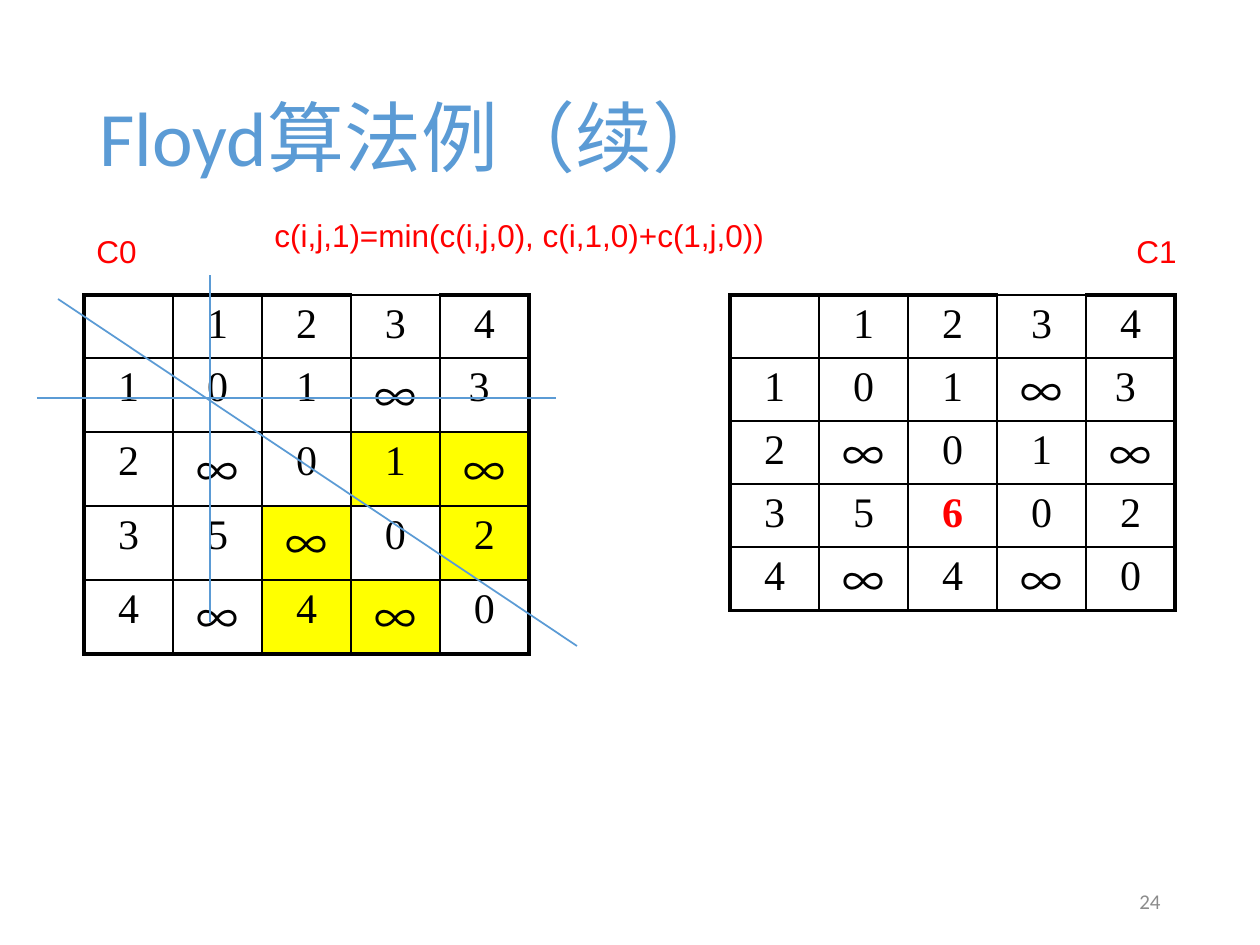
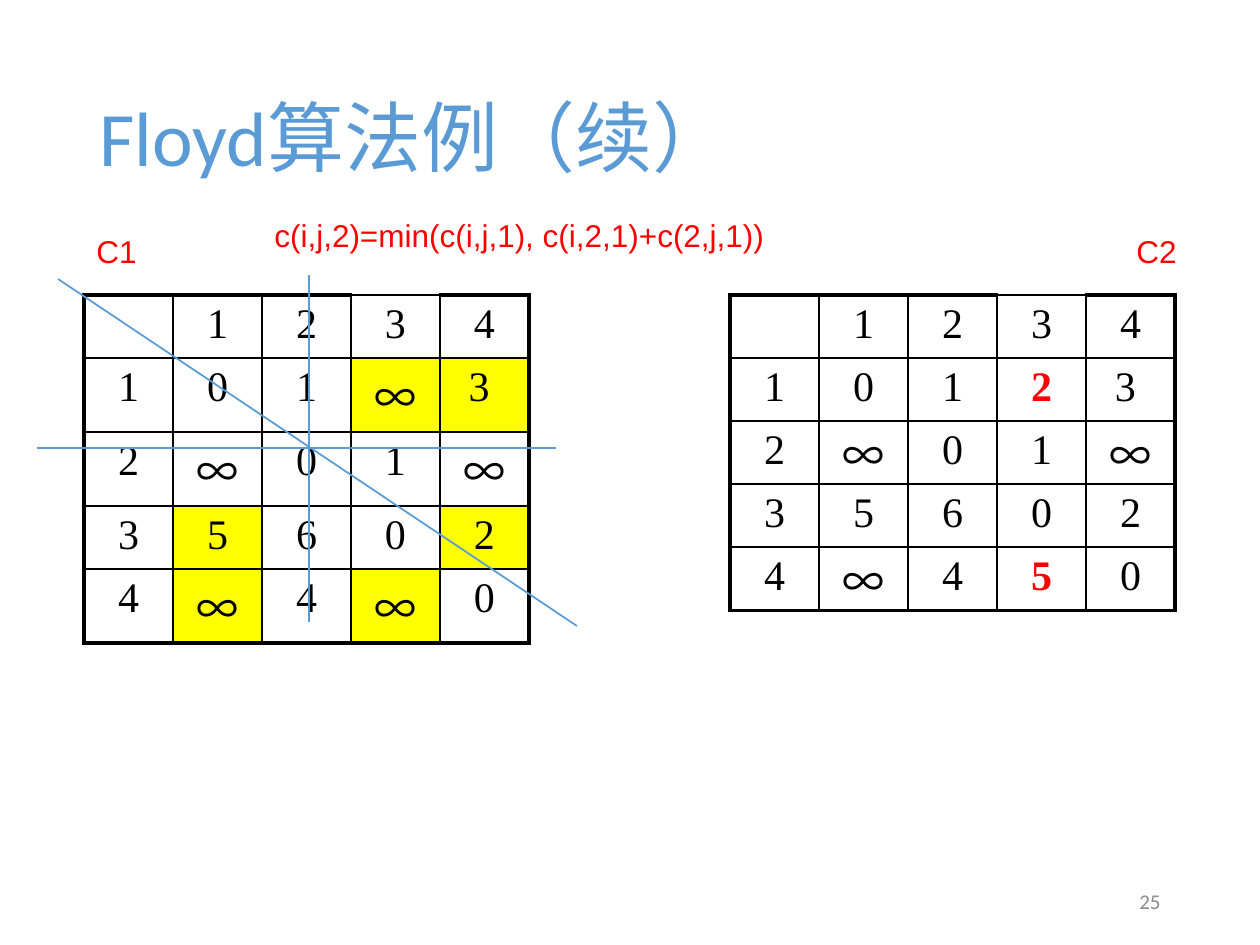
from lxml import etree
from pptx import Presentation
from pptx import util as u
from pptx.dml.color import RGBColor
from pptx.enum import shapes, text
from pptx.oxml import ns

PX = 914400 / 126
COLORS = {"accent": "5B9BD5", "red": "FF0000", "black": "000000",
          "gray": "8C8C8C", "yellow": "FFFF00"}
CJK_FONT = "Noto Sans CJK SC"
INFINITY = "∞"
COLUMN_WIDTH = 89
THIN, THICK = 1, 2.25

# Distances between vertices 1 to 4 after each step
C0 = (("0", "1", "∞", "3 "),
      ("∞", "0", "1", "∞"),
      ("5", "∞", "0", "2"),
      ("∞", "4", "∞", "0"))
C1 = (*C0[:2], ("5", "6", "0", "2"), C0[3])
C2 = (("0", "1", "2", "3 "), *C1[1:3], ("∞", "4", "5", "0"))


def px(length):
    return u.Emu(round(length * PX))


def rgb(color):
    return RGBColor.from_string(COLORS[color])


def format_run(run, size, font, color, bold=False, east_asian=CJK_FONT):
    run.font.size = u.Pt(size)
    run.font.name = font
    run.font.bold = bold
    run.font.color.rgb = rgb(color)
    latin = run.font._element.find(ns.qn("a:latin"))
    ea = etree.Element(ns.qn("a:ea"), typeface=east_asian)
    latin.addnext(ea)


def add_label(slide, box, words, size, font, color, anchor="TOP", align="LEFT"):
    label = slide.shapes.add_textbox(*map(px, box))
    frame = label.text_frame
    frame.word_wrap = True
    frame.vertical_anchor = getattr(text.MSO_ANCHOR, anchor)
    frame.text = words
    paragraph = frame.paragraphs[0]
    paragraph.alignment = getattr(text.PP_ALIGN, align)
    format_run(paragraph.runs[0], size, font, color)
    return paragraph


def add_line(slide, start, end):
    line = slide.shapes.add_connector(shapes.MSO_CONNECTOR.STRAIGHT,
                                      *map(px, (*start, *end)))
    line.line.color.rgb = rgb("accent")
    line.line.width = u.Pt(1)
    etree.SubElement(line._element.spPr, ns.qn("a:effectLst"))


def set_borders(cell, widths):
    """Draw the left, right, top and bottom borders, widths in points."""
    properties = cell._tc.get_or_add_tcPr()
    for side, width in zip("LRTB", widths):
        border = etree.SubElement(properties, ns.qn(f"a:ln{side}"),
                                  w=str(u.Pt(width)))
        fill = etree.SubElement(border, ns.qn("a:solidFill"))
        etree.SubElement(fill, ns.qn("a:srgbClr"), val=COLORS["black"])


def write_cell(cell, value, changed, compact):
    cell.text = value
    paragraph = cell.text_frame.paragraphs[0]
    paragraph.alignment = text.PP_ALIGN.CENTER
    if not value:
        return
    font = CJK_FONT if value == INFINITY else "Times New Roman"
    format_run(paragraph.runs[0], 24, font,
               "red" if changed else "black", bold=changed)
    if compact and value == INFINITY:
        paragraph.line_spacing = u.Pt(32)
        cell.margin_bottom = 0


def add_matrix(slide, left, top, matrix, row_height=None, highlights=(), changes=()):
    """Draw a matrix with vertex headings; rows fit their text unless row_height is set."""
    vertices = range(1, len(matrix) + 1)
    grid = [["", *map(str, vertices)]]
    grid += [[str(vertex), *row] for vertex, row in zip(vertices, matrix)]
    last = len(grid) - 1
    heights = [row_height or (74 if INFINITY in row else 59) for row in grid]
    table = slide.shapes.add_table(
        len(grid), len(grid), px(left), px(top),
        px(COLUMN_WIDTH * len(grid)), px(sum(heights))).table
    table.first_row = table.horz_banding = False
    for column in table.columns:
        column.width = px(COLUMN_WIDTH)
    for r, values in enumerate(grid):
        table.rows[r].height = px(heights[r])
        for c, value in enumerate(values):
            cell = table.cell(r, c)
            write_cell(cell, value, (r, c) in changes, bool(row_height))
            # The heading of vertex 3 keeps a thin top edge
            outer = (c == 0, c == last, r == 0 and c != 3, r == last)
            set_borders(cell, [THICK if edge else THIN for edge in outer])
            if (r, c) in highlights:
                cell.fill.solid()
                cell.fill.fore_color.rgb = rgb("yellow")
            else:
                cell.fill.background()


def add_pivot_lines(slide, left, top, row_y, column_x, diagonal_y):
    """Strike out the pivot row, the pivot column and the diagonal."""
    add_line(slide, (left - 47, top + row_y), (left + 472, top + row_y))
    add_line(slide, (left + column_x, top + 327), (left + column_x, top - 20))
    add_line(slide, (left - 26, top + diagonal_y),
             (left + 493, top + diagonal_y + 347))


def add_step_slide(deck, number, pivot, before, after, strikes):
    slide = deck.slides.add_slide(deck.slide_layouts[6])
    title = add_label(slide, (87, 50, 1086, 183), "Floyd算法例（续）", 44,
                      "Calibri", "accent", anchor="MIDDLE")
    title.line_spacing = 0.9

    vertices = range(1, len(before) + 1)
    pairs = [(i, j) for i in vertices for j in vertices]
    candidates = {(i, j) for i, j in pairs if i != j and pivot not in (i, j)}
    changes = {(i, j) for i, j in pairs
               if before[i - 1][j - 1] != after[i - 1][j - 1]}
    k, p = pivot, pivot - 1
    formula = f"c(i,j,{k})=min(c(i,j,{p}), c(i,{k},{p})+c({k},j,{p}))"

    add_matrix(slide, 84, 295, before, highlights=candidates)
    add_matrix(slide, 730, 295, after, row_height=63, changes=changes)
    for box, words in (((84, 226, 95, 50), f"C{p}"),
                       ((262, 210, 955, 50), formula),
                       ((1124, 226, 95, 50), f"C{k}")):
        add_label(slide, box, words, 18, "Arial", "red")
    add_pivot_lines(slide, 84, 295, *strikes)
    add_label(slide, (890, 876, 283, 50), str(number), 12, "Calibri", "gray",
              anchor="MIDDLE", align="RIGHT")


def main():
    deck = Presentation()
    deck.slide_width, deck.slide_height = px(1260), px(945)
    add_step_slide(deck, 24, 1, C0, C1, strikes=(103, 126, 4))
    add_step_slide(deck, 25, 2, C1, C2, strikes=(153, 225, -16))
    deck.save("out.pptx")


if __name__ == "__main__":
    main()
